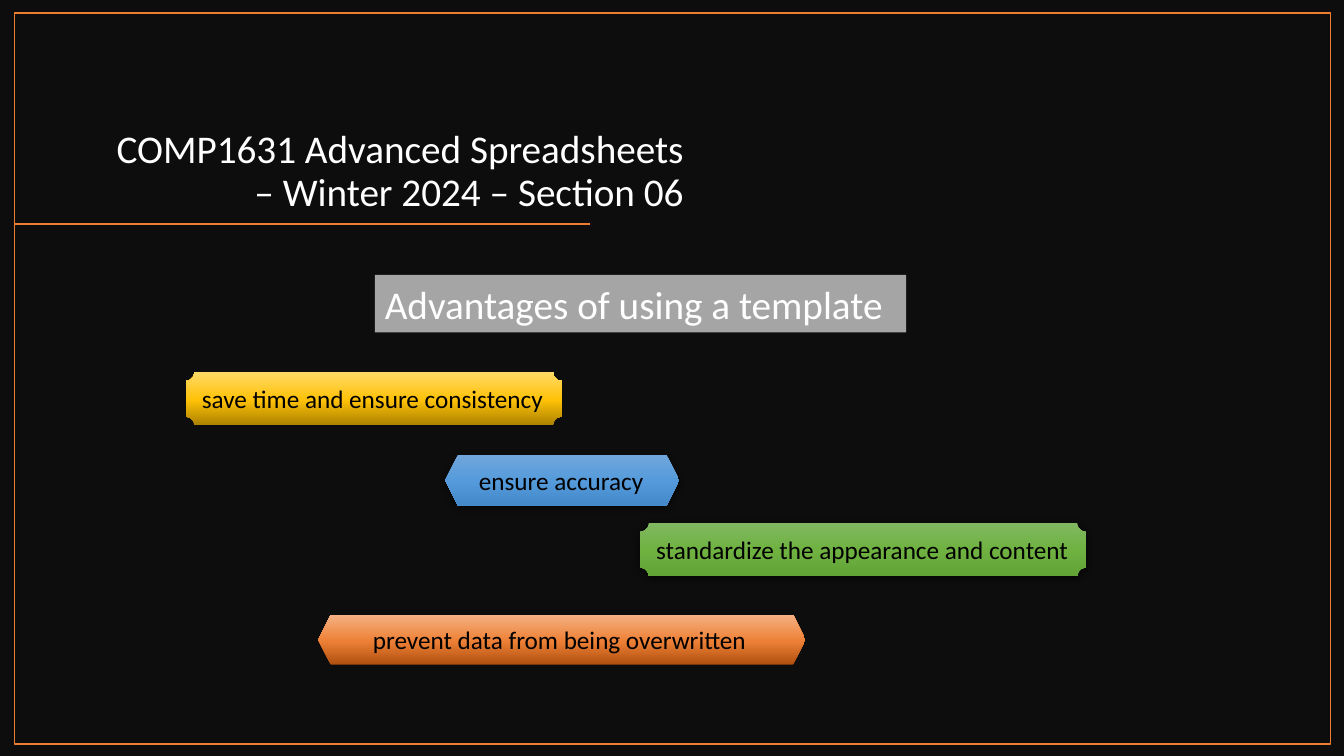
from pptx import Presentation
from pptx.dml.color import RGBColor
from pptx.enum.shapes import MSO_CONNECTOR, MSO_SHAPE
from pptx.enum.text import MSO_ANCHOR, MSO_AUTO_SIZE, PP_ALIGN
from pptx.oxml import parse_xml
from pptx.oxml.ns import nsdecls, qn
from pptx.util import Cm, Pt
from copy import deepcopy

RECT, PLAQUE, HEX = MSO_SHAPE.RECTANGLE, MSO_SHAPE.PLAQUE, MSO_SHAPE.HEXAGON
LEFT, RIGHT = PP_ALIGN.LEFT, PP_ALIGN.RIGHT
TOP, BOTTOM = MSO_ANCHOR.TOP, MSO_ANCHOR.BOTTOM
GROW = MSO_AUTO_SIZE.SHAPE_TO_FIT_TEXT

FONT = "Calibri"
COLORS = {"back": "0D0D0D", "edge": "ED7D31", "band": "A5A5A5",
          "light": "FFFFFF", "dark": "000000"}
WIDTH, HEIGHT = 33.87, 19.05
TITLE = "COMP1631 Advanced Spreadsheets – Winter 2024 – Section 06"
HEAD = "Advantages of using a template"

# Gradients: (position in percent, colour) stops and counterclockwise angle
GRADS = {
    "gold": ([(0, "AB8100"), (48, "FFC208"), (100, "FFD966")], 90),
    "blue": ([(0, "71A6DB"), (50, "559BDB"), (100, "448ACA")], 270),
    "green": ([(0, "81B861"), (50, "6FB242"), (100, "62A336")], 270),
    "orange": ([(0, "B0500F"), (48, "EE8137"), (100, "F4B183")], 90),
}

# Text, shape, box in cm, gradient, shadow
POINTS = [
    ("save time and ensure consistency", PLAQUE,
     (4.68, 9.38, 9.48, 1.34), "gold", False),
    ("ensure accuracy", HEX, (11.22, 11.46, 5.9, 1.28), "blue", True),
    ("standardize the appearance and content", PLAQUE,
     (16.13, 13.18, 11.24, 1.34), "green", True),
    ("prevent data from being overwritten", HEX,
     (8.02, 15.49, 12.28, 1.26), "orange", False),
]


def rgb(name):
    return RGBColor.from_string(COLORS[name])


def add_box(kind, box, fill=None, edge=None):
    shape = slide.shapes.add_shape(kind, *map(Cm, box))
    shape.shadow.inherit = False
    if fill:
        shape.fill.solid()
        shape.fill.fore_color.rgb = rgb(fill)
    else:
        shape.fill.background()
    if edge:
        shape.line.color.rgb = rgb(edge)
        shape.line.width = Pt(1)
    else:
        shape.line.fill.background()
    return shape


def write(shape, text, size, color, align=LEFT, anchor=TOP, wrap=True):
    frame = shape.text_frame
    frame.text = text
    frame.word_wrap = wrap
    frame.vertical_anchor = anchor
    para = frame.paragraphs[0]
    para.alignment = align
    para.font.name = FONT
    para.font.size = Pt(size)
    para.font.color.rgb = rgb(color)
    return frame


def blend(shape, stops, angle):
    shape.fill.gradient()
    shape.fill.gradient_angle = angle
    group = shape.element.spPr.find(".//" + qn("a:gsLst"))
    group.append(deepcopy(group[0]))
    for stop, (place, color) in zip(shape.fill.gradient_stops, stops):
        stop.position = place / 100
        stop.color.rgb = RGBColor.from_string(color)


def shade(shape):
    group = shape.element.spPr.find(qn("a:effectLst"))
    group.append(parse_xml(
        f'<a:outerShdw {nsdecls("a")} blurRad="{Pt(4.5)}" dist="{Pt(1.5)}" '
        f'dir="5400000" algn="ctr" rotWithShape="0">'
        f'<a:srgbClr val="{COLORS["dark"]}"><a:alpha val="63000"/></a:srgbClr>'
        f'</a:outerShdw>'))


deck = Presentation()
deck.slide_width, deck.slide_height = Cm(WIDTH), Cm(HEIGHT)
slide = deck.slides.add_slide(deck.slide_layouts[5])
title = slide.shapes.title

# Dark backdrop, placed behind the title
back = add_box(RECT, (0, 0, WIDTH, HEIGHT), "back")
title.element.addprevious(back.element)

# Title
title.left, title.top, title.width, title.height = map(
    Cm, (2.34, 1.85, 15.14, 3.69))
frame = write(title, TITLE, 28, "light", RIGHT, BOTTOM)
frame.auto_size = MSO_AUTO_SIZE.NONE
frame.paragraphs[0].line_spacing = 0.9

# Rule under the title and frame around the slide
rule = slide.shapes.add_connector(
    MSO_CONNECTOR.STRAIGHT, Cm(14.86), Cm(5.64), Cm(0.36), Cm(5.64))
rule.line.color.rgb = rgb("edge")
rule.line.width = Pt(1)
rule.element.spPr.append(parse_xml(f'<a:effectLst {nsdecls("a")}/>'))
add_box(RECT, (0.36, 0.33, 33.17, 18.42), edge="edge")

# Advantages
for text, kind, box, grad, shadow in POINTS:
    shape = add_box(kind, box)
    blend(shape, *GRADS[grad])
    if shadow:
        shade(shape)
    write(shape, text, 18, "dark", wrap=False).auto_size = GROW

# Heading band
band = add_box(RECT, (9.45, 6.93, 13.39, 1.45), "band")
write(band, HEAD, 28, "light").auto_size = GROW

deck.save("out.pptx")
